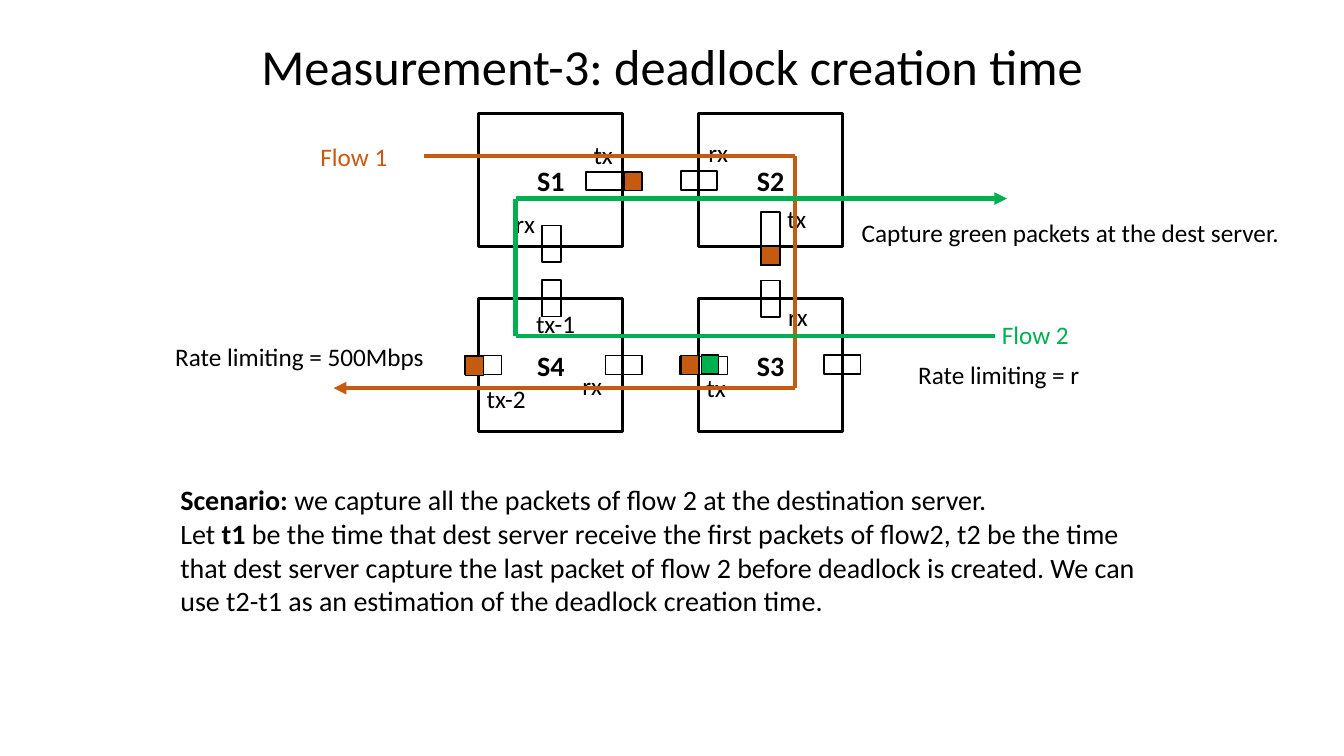
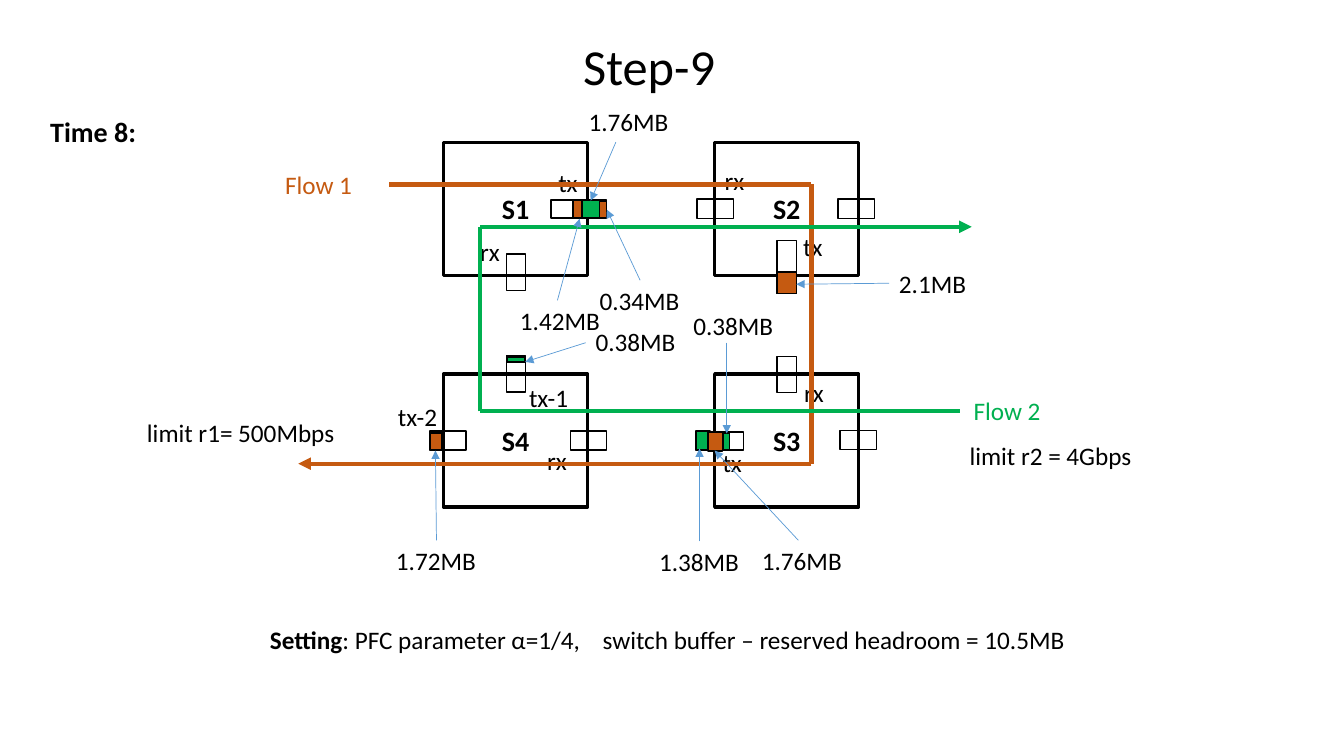
from dataclasses import dataclass
from itertools import pairwise

import lxml.etree
import pptx
import pptx.dml.color
import pptx.enum.shapes
import pptx.enum.text
import pptx.oxml
import pptx.oxml.ns
import pptx.util

# Grid: one cell is a tenth of an inch
COLUMNS, ROWS = 133.33, 75
BLACK, ORANGE, GREEN, BLUE = "000000", "C55A11", "00B050", "5B9BD5"
FONT = "Calibri"
TITLE_SIZE, BODY_SIZE, LABEL_SIZE = 36, 20, 18
SWITCH_WIDTH, SWITCH_HEIGHT = 14.3, 13.2
LABEL_HEIGHT = 4
Point = tuple[float, float]


@dataclass(frozen=True)
class Queue:
    switch: str
    dx: float
    dy: float
    width: float
    height: float


@dataclass(frozen=True)
class Label:
    text: str
    left: float
    top: float
    width: float
    color: str = BLACK
    size: float = LABEL_SIZE
    bold: bool = False


@dataclass(frozen=True)
class PortLabel:
    switch: str
    text: str
    dx: float
    dy: float
    width: float = 4


@dataclass(frozen=True)
class Packets:
    color: str
    left: float
    top: float
    width: float
    height: float


@dataclass(frozen=True)
class Callout:
    text: str
    left: float
    top: float
    start: Point
    tip: Point


@dataclass(frozen=True)
class Network:
    left: float
    right: float
    top: float
    bottom: float
    flow2_end: float

    def corner(self, switch: str) -> Point:
        return {"S1": (self.left, self.top), "S2": (self.right, self.top),
                "S3": (self.right, self.bottom), "S4": (self.left, self.bottom)}[switch]


# Ports shared by both slides, measured from the corner of their switch
QUEUES = [
    Queue("S1", 10.65, 5.75, 5.5, 1.8), Queue("S1", 6.25, 11.1, 1.9, 3.6),
    Queue("S2", -1.75, 5.65, 3.6, 1.9), Queue("S2", 6.2, 9.75, 1.9, 5.3),
    Queue("S3", -1.85, 5.75, 4.7, 1.8), Queue("S3", 6.2, -1.75, 1.9, 3.6),
    Queue("S3", 12.45, 5.6, 3.6, 1.9), Queue("S4", 12.6, 5.65, 3.6, 1.9),
    Queue("S4", 6.25, -1.8, 1.9, 3.6), Queue("S4", -1.35, 5.65, 3.6, 1.9),
]
PORT_LABELS = [
    PortLabel("S1", "rx", 2.65, 8.9), PortLabel("S1", "tx", 10.4, 2),
    PortLabel("S2", "rx", 0, 1.8), PortLabel("S2", "tx", 7.8, 8.4),
    PortLabel("S3", "rx", 7.9, -0.2), PortLabel("S3", "tx", -0.2, 6.8),
    PortLabel("S4", "rx", 9.3, 6.6),
]


# Drawing helpers
def cells(count: float) -> pptx.util.Length:
    return pptx.util.Inches(count / 10)


def rgb(color: str) -> pptx.dml.color.RGBColor:
    return pptx.dml.color.RGBColor.from_string(color)


def add_run(paragraph, text: str, size: float, color: str = BLACK, bold: bool = False) -> None:
    run = paragraph.add_run()
    run.text = text
    run.font.name = FONT
    run.font.size = pptx.util.Pt(size)
    run.font.bold = bold
    run.font.color.rgb = rgb(color)


def add_frame(slide, left: float, top: float, width: float, height: float, wrap: bool):
    frame = slide.shapes.add_textbox(*map(cells, (left, top, width, height))).text_frame
    frame.word_wrap = wrap
    frame.auto_size = pptx.enum.text.MSO_AUTO_SIZE.SHAPE_TO_FIT_TEXT
    return frame


def draw_title(slide, text: str, left: float) -> None:
    paragraph = add_frame(slide, left, 3, 116.2, 7.1, True).paragraphs[0]
    paragraph.alignment = pptx.enum.text.PP_ALIGN.CENTER
    add_run(paragraph, text, TITLE_SIZE)


def draw_label(slide, label: Label) -> None:
    frame = add_frame(slide, label.left, label.top, label.width, LABEL_HEIGHT, False)
    add_run(frame.paragraphs[0], label.text, label.size, label.color, label.bold)


def draw_box(slide, left: float, top: float, width: float, height: float,
             fill: str | None = None, weight: float = 1):
    box = slide.shapes.add_shape(pptx.enum.shapes.MSO_SHAPE.RECTANGLE,
                                 *map(cells, (left, top, width, height)))
    box.shadow.inherit = False
    if fill:
        box.fill.solid()
        box.fill.fore_color.rgb = rgb(fill)
    else:
        box.fill.background()
    box.line.color.rgb = rgb(BLACK)
    box.line.width = pptx.util.Pt(weight)
    return box


def draw_line(slide, start: Point, end: Point, color: str, weight: float, arrow: bool) -> None:
    line = slide.shapes.add_connector(pptx.enum.shapes.MSO_CONNECTOR.STRAIGHT,
                                      *map(cells, (*start, *end)))
    line.line.color.rgb = rgb(color)
    line.line.width = pptx.util.Pt(weight)
    if arrow:
        lxml.etree.SubElement(line.line._get_or_add_ln(), pptx.oxml.ns.qn("a:tailEnd"),
                              type="triangle")
    lxml.etree.SubElement(line._element.spPr, pptx.oxml.ns.qn("a:effectLst"))


def draw_flow(slide, route: list[Point], color: str) -> None:
    for start, end in pairwise(route):
        draw_line(slide, start, end, color, 3, end == route[-1])


def draw_callout(slide, callout: Callout) -> None:
    draw_label(slide, Label(callout.text, callout.left, callout.top, 10))
    draw_line(slide, callout.start, callout.tip, BLUE, 0.5, True)


def draw_network(slide, network: Network, queues: list[Queue],
                 port_labels: list[PortLabel], packets: list[Packets]) -> None:
    # Switches and their queues
    for name in ("S1", "S2", "S3", "S4"):
        switch = draw_box(slide, *network.corner(name), SWITCH_WIDTH, SWITCH_HEIGHT, weight=2.25)
        switch.text_frame.vertical_anchor = pptx.enum.text.MSO_ANCHOR.MIDDLE
        paragraph = switch.text_frame.paragraphs[0]
        paragraph.alignment = pptx.enum.text.PP_ALIGN.CENTER
        add_run(paragraph, name, BODY_SIZE, bold=True)
    for queue in queues:
        x, y = network.corner(queue.switch)
        draw_box(slide, x + queue.dx, y + queue.dy, queue.width, queue.height)
    for load in packets:
        draw_box(slide, load.left, load.top, load.width, load.height, load.color)
    for port in port_labels:
        x, y = network.corner(port.switch)
        draw_label(slide, Label(port.text, x + port.dx, y + port.dy, port.width))

    # Flows
    entry, turn = network.top + 4.2, network.right + 9.6
    leave = network.bottom + 8.9
    draw_flow(slide, [(network.left - 5.4, entry), (turn, entry), (turn, leave),
                      (network.left - 14.4, leave)], ORANGE)
    source, bend = network.bottom + 3.7, network.left + 3.65
    exit_row = network.top + 8.4
    draw_flow(slide, [(network.flow2_end - 1.2, source), (bend, source), (bend, exit_row),
                      (network.flow2_end, exit_row)], GREEN)
    draw_label(slide, Label("Flow 1", network.left - 16.7, network.top + 2.2, 8.7, ORANGE))


deck = pptx.Presentation()
deck.slide_width, deck.slide_height = cells(COLUMNS), cells(ROWS)
blank = deck.slide_layouts[6]

# Slide 1: deadlock creation time
measurement = deck.slides.add_slide(blank)
draw_title(measurement, "Measurement-3: deadlock creation time", 8.6)
draw_network(
    measurement, Network(47.5, 69.3, 11.3, 29.6, 99.9), QUEUES,
    PORT_LABELS + [PortLabel("S4", "tx-1", 4.7, 0.5, 6), PortLabel("S4", "tx-2", -0.2, 7.9, 6)],
    [Packets(GREEN, 69.6, 35.2, 1.7, 1.9), Packets(ORANGE, 75.5, 24.4, 1.9, 1.9),
     Packets(ORANGE, 61.9, 17.1, 1.8, 1.8), Packets(ORANGE, 67.55, 35.25, 1.8, 1.9),
     Packets(ORANGE, 46.15, 35.35, 1.8, 1.9)])
for remark in (
    Label("Flow 2", 98.4, 31.2, 8.7, GREEN),
    Label("Rate limiting = 500Mbps", 16.4, 33.4, 27),
    Label("Rate limiting = r", 90.1, 35.2, 18.2),
    Label("Capture green packets at the dest server.", 84.5, 21.1, 43.5),
):
    draw_label(measurement, remark)

scenario = add_frame(measurement, 16.9, 47.4, 99.5, 14.5, True)
opening, definition = scenario.paragraphs[0], scenario.add_paragraph()
add_run(opening, "Scenario: ", BODY_SIZE, bold=True)
add_run(opening, "we capture all the packets of flow 2 at the destination server. ", BODY_SIZE)
add_run(definition, "Let ", BODY_SIZE)
add_run(definition, "t1", BODY_SIZE, bold=True)
add_run(definition, " be the time that dest server receive the first packets of flow2, t2 be the "
        "time that dest server capture the last packet of flow 2 before deadlock is created. "
        "We can use t2-t1 as an estimation of the deadlock creation time.", BODY_SIZE)

# Slide 2: buffer occupancy at step 9
step = deck.slides.add_slide(blank)
draw_title(step, "Step-9", 6.3)
draw_network(
    step, Network(44, 70.9, 14.1, 37.1, 96.4),
    QUEUES + [Queue("S2", 12.25, 5.65, 3.6, 1.9)],
    PORT_LABELS + [PortLabel("S4", "tx-1", 7.5, 0.3, 6), PortLabel("S4", "tx-2", -5.5, 2.2, 6)],
    [Packets(ORANGE, 56.85, 19.85, 1.3, 1.8), Packets(ORANGE, 42.65, 42.95, 1.2, 1.7),
     Packets(GREEN, 69.05, 42.75, 1.4, 1.9), Packets(GREEN, 50.3, 35.4, 1.8, 0.5),
     Packets(ORANGE, 70.25, 42.85, 1.4, 1.9), Packets(GREEN, 71.75, 42.95, 0.6, 1.7),
     Packets(ORANGE, 58.55, 19.95, 1.6, 1.7), Packets(GREEN, 57.75, 19.85, 1.7, 1.8),
     Packets(ORANGE, 77.1, 27, 1.9, 2.1)])
for remark in (
    Label("Time 8:", 4, 10.9, 10.6, size=BODY_SIZE, bold=True),
    Label("Flow 2", 95.6, 38.7, 8.7, GREEN),
    Label("limit r1= 500Mbps", 13.6, 40.9, 20.8),
    Label("limit r2 = 4Gbps", 95.2, 43.2, 18.3),
):
    draw_label(step, remark)
for occupancy in (
    Callout("1.76MB", 57.4, 10.1, (61.1, 14.1), (58.6, 19.9)),
    Callout("0.34MB", 58.5, 27.8, (63.5, 27.8), (60.2, 20.8)),
    Callout("1.42MB", 50.6, 29.8, (55.3, 29.8), (57.5, 21.7)),
    Callout("0.38MB", 58.1, 31.9, (58.1, 34), (52.1, 35.9)),
    Callout("0.38MB", 67.8, 30.3, (72.1, 34), (72.1, 43)),
    Callout("2.1MB", 88.2, 26.1, (88.2, 28.1), (79, 28.2)),
    Callout("1.72MB", 38.3, 53.6, (43.3, 53.6), (43.2, 44.7)),
    Callout("1.38MB", 64.4, 53.7, (69.4, 53.7), (69.4, 44.5)),
    Callout("1.76MB", 74.6, 53.6, (79.2, 53.6), (70.9, 44.7)),
):
    draw_callout(step, occupancy)

setting = add_frame(step, 25.8, 61.4, 84, LABEL_HEIGHT, True).paragraphs[0]
tab_stops = lxml.etree.SubElement(setting._p.get_or_add_pPr(), pptx.oxml.ns.qn("a:tabLst"))
lxml.etree.SubElement(tab_stops, pptx.oxml.ns.qn("a:tab"), pos=str(cells(33)), algn="l")
add_run(setting, "Setting", LABEL_SIZE, bold=True)
add_run(setting, ": PFC parameter α=1/4,\tswitch buffer – reserved headroom = 10.5MB", LABEL_SIZE)

deck.save("out.pptx")
